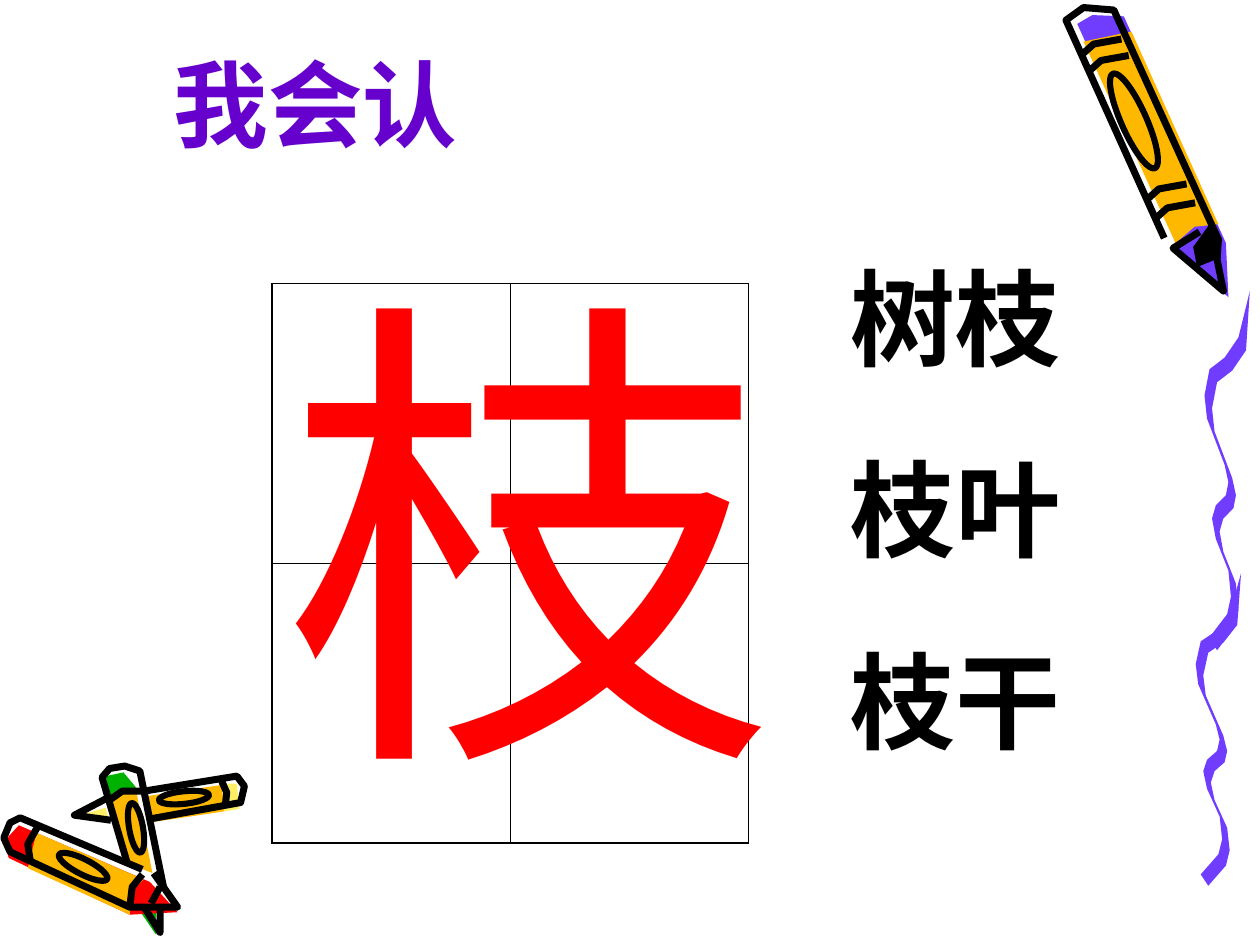
from lxml import etree
from pptx import Presentation
from pptx.dml.color import RGBColor
from pptx.enum.shapes import MSO_SHAPE
from pptx.enum.text import MSO_AUTO_SIZE, PP_ALIGN
from pptx.oxml.ns import qn
from pptx.util import Inches, Pt

BLACK = RGBColor(0x00, 0x00, 0x00)
VIOLET = RGBColor(0x70, 0x3D, 0xFF)
ORANGE = RGBColor(0xFF, 0xB8, 0x00)
YELLOW = RGBColor(0xFF, 0xEF, 0x66)
RED = RGBColor(0xFF, 0x00, 0x00)
GREEN = RGBColor(0x00, 0xB2, 0x00)
PURPLE = RGBColor(0x66, 0x00, 0xCC)

TITLE = "我会认"
CHARACTER = "枝"
WORDS = ["树枝", "枝叶", "枝干"]

CRAYON_FILLS = [
    (VIOLET, [(8.55, 0.19), (9.37, 2), (9.75, 2.36), (9.73, 1.93), (8.92, 0.13), (8.67, 0.12)]),
    (ORANGE, [(9.33, 1.93), (9.48, 1.8), (9.67, 1.78), (8.98, 0.25), (8.6, 0.33)]),
    (YELLOW, [(1.77, 6.22), (1.88, 6.22), (1.9, 6.42), (1.78, 6.44)]),
    (YELLOW, [(0.84, 6.41), (0.6, 6.48), (0.87, 6.53)]),
    (ORANGE, [(1.76, 6.23), (1.16, 6.32), (1.18, 6.53), (1.78, 6.44)]),
    (GREEN, [(0.84, 6.16), (0.98, 6.13), (1.08, 6.25), (0.87, 6.34)]),
    (GREEN, [(1.24, 7.23), (1.24, 7.42), (1.11, 7.23)]),
    (ORANGE, [(0.87, 6.33), (1.08, 6.27), (1.21, 6.93), (1.01, 6.85)]),
    (RED, [(0.15, 6.55), (1.19, 7), (1.41, 7.24), (1.03, 7.26), (0.07, 6.81), (0.03, 6.68)]),
    (ORANGE, [(0.22, 6.89), (1.03, 7.26), (1.04, 7.08), (1.14, 6.98), (0.29, 6.61)]),
    (BLACK, [(9.47, 1.96), (9.6, 1.78), (9.7, 1.9), (9.65, 2.06), (9.5, 2.12)]),
]
CRAYON_EDGES = [
    [(9.24, 1.89), (8.46, 0.16), (8.6, 0.06), (8.84, 0.08), (9.67, 1.9), (9.66, 2.06), (9.71, 2.31),
     (9.31, 1.97), (9.52, 1.84)],
    [(0.88, 6.51), (0.59, 6.47), (0.84, 6.34)],
    [(1.14, 6.28), (1.88, 6.16), (1.94, 6.24), (1.91, 6.37), (1.19, 6.5)],
    [(1.76, 6.2), (1.8, 6.29), (1.79, 6.38)],
    [(1.01, 6.85), (0.81, 6.17), (0.87, 6.1), (0.99, 6.08), (1.11, 6.12), (1.3, 7.05)],
    [(0.87, 6.35), (0.97, 6.28), (1.13, 6.28)],
    [(1.15, 7.21), (1.27, 7.4), (1.27, 7.19)],
    [(1.13, 6.9), (0.16, 6.49), (0.08, 6.53), (0.03, 6.65), (0.08, 6.76), (1.03, 7.2),
     (1.41, 7.2), (1.22, 6.93)],
    [(1.13, 6.94), (1.05, 7.04), (1.03, 7.2)],
    [(0.3, 6.56), (0.22, 6.7), (0.24, 6.83)],
    [(1.27, 7.04), (1.2, 7.17)],
]
LABELS = [(9, 0.96, 0.2, 0.82, -24), (0.66, 6.88, 0.43, 0.12, 27),
          (1.46, 6.33, 0.4, 0.1, -6), (1.08, 6.57, 0.11, 0.4, -10)]

BAND = [(8.59, 0.43), (8.68, 0.35), (8.9, 0.31)]
BAND_STEPS = [0, 0.13, 1.15, 1.3]
BAND_SLOPE = 0.45

SQUIGGLE = [(9.85, 4.55), (9.76, 4.87), (9.65, 5.01), (9.53, 5.09), (9.49, 5.27), (9.51, 5.43),
            (9.65, 5.75), (9.68, 5.87), (9.66, 5.96), (9.58, 6.03), (9.55, 6.12), (9.58, 6.26),
            (9.68, 6.48), (9.7, 6.66), (9.67, 6.78), (9.53, 6.94)]

prs = Presentation()
prs.slide_width, prs.slide_height = Inches(10), Inches(7.5)
s = prs.slides.add_slide(prs.slide_layouts[6])


def style(sp, fill=None, line=None):
    sp.shadow.inherit = False
    if fill is None:
        sp.fill.background()
    else:
        sp.fill.solid()
        sp.fill.fore_color.rgb = fill
    if line is None:
        sp.line.fill.background()
    else:
        sp.line.color.rgb = BLACK
        sp.line.width = Pt(line)


def add_outline(points, close=True, **look):
    start, *rest = [(Inches(x), Inches(y)) for x, y in points]
    builder = s.shapes.build_freeform(*start)
    builder.add_line_segments(rest, close=close)
    style(builder.convert_to_shape(), **look)


def add_label(x, y, width, height, angle):
    box = map(Inches, (x - width / 2, y - height / 2, width, height))
    sp = s.shapes.add_shape(MSO_SHAPE.OVAL, *box)
    sp.rotation = angle
    style(sp, line=3.5)


def add_squiggle(left, dx=0, top=4.55, stretch=1):
    right = [(x + 0.06, y + 0.09) for x, y in left[1:]]
    ribbon = left + right[::-1]
    add_outline([(x + dx, top + (y - 4.55) * stretch) for x, y in ribbon], fill=VIOLET)


def add_text(lines, box, size, color, font="Arial", bold=False, align=PP_ALIGN.LEFT,
             spacing=1.2, before=0, fit=MSO_AUTO_SIZE.SHAPE_TO_FIT_TEXT):
    tf = s.shapes.add_textbox(*map(Inches, box)).text_frame
    tf.word_wrap = True
    tf.auto_size = fit
    for i, line in enumerate(lines):
        p = tf.paragraphs[0] if i == 0 else tf.add_paragraph()
        p.alignment = align
        p.line_spacing = Pt(size * spacing)
        p.space_before = Pt(before if i else 0)
        r = p.add_run()
        r.text = line
        r.font.size, r.font.bold, r.font.name = Pt(size), bold, font
        r.font.color.rgb = color
        etree.SubElement(r.font._element, qn("a:ea"), typeface=font)


def add_border(cell, side, width):
    ln = etree.SubElement(cell._tc.get_or_add_tcPr(), qn(f"a:ln{side}"), w=str(Pt(width)))
    fill = etree.SubElement(ln, qn("a:solidFill"))
    etree.SubElement(fill, qn("a:srgbClr"), val=str(BLACK))


def add_character_grid():
    table = s.shapes.add_table(2, 2, *map(Inches, (2.16, 2.25, 3.78, 4.44))).table
    table.first_row = table.horz_banding = False
    for row in range(2):
        for col in range(2):
            cell = table.cell(row, col)
            outer = {"L": col == 0, "R": col == 1, "T": row == 0, "B": row == 1}
            for side, is_outer in outer.items():
                add_border(cell, side, 1.08 if is_outer else 0.45)
            cell.fill.background()


for color, points in CRAYON_FILLS:
    add_outline(points, fill=color)
add_squiggle(SQUIGGLE)
add_squiggle(SQUIGGLE, dx=0.07, top=2.31, stretch=1.15)
bands = [[(x + step * BAND_SLOPE, y + step) for x, y in BAND] for step in BAND_STEPS]
for points in CRAYON_EDGES + bands:
    add_outline(points, close=False, line=4)
for label in LABELS:
    add_label(*label)

add_text([TITLE], (0.42, 0.25, 4.17, 1.71), 54, PURPLE, font="Noto Sans CJK JP", bold=True,
         align=PP_ALIGN.CENTER, spacing=1.29, fit=MSO_AUTO_SIZE.NONE)
add_character_grid()
add_text([CHARACTER], (2.16, 1.78, 4.17, 4.77), 280, RED)
add_text(WORDS, (6.65, 1.96, 2.28, 4.14), 60, BLACK, bold=True, before=37.5)

prs.save("out.pptx")
